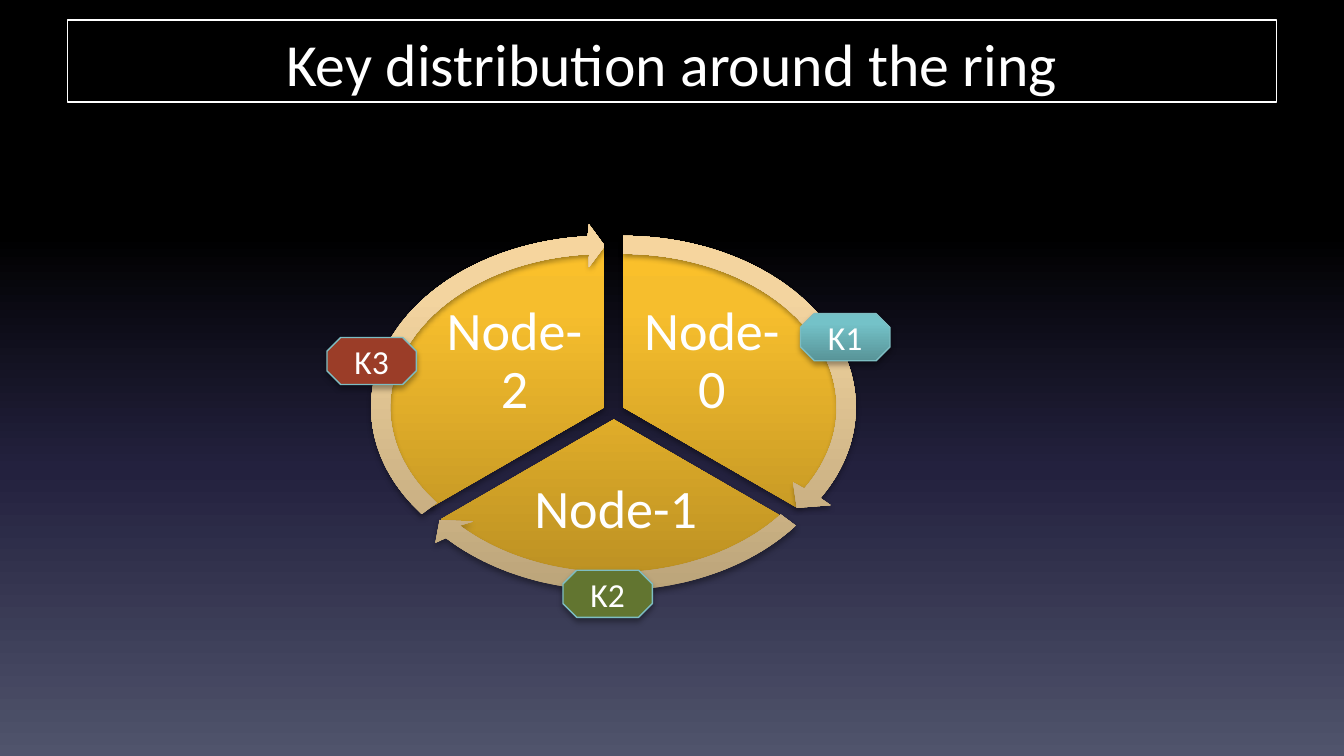
from math import cos, radians, sin, tan

from lxml.etree import SubElement
from pptx import Presentation
from pptx.dml.color import RGBColor as RGB
from pptx.enum.shapes import MSO_SHAPE as SHAPE
from pptx.enum.text import MSO_ANCHOR as ANCHOR, MSO_AUTO_SIZE as FIT, PP_ALIGN as ALIGN
from pptx.oxml.ns import qn
from pptx.util import Cm, Pt

COLORS = {"white": "FFFFFF", "black": "000000", "edge": "7DBDC2",
          "olive": "627530", "rust": "9B3D28"}
GRADIENTS = {
    "night": [(0, "000000"), (31, "000000"), (62, "23213E"), (100, "50546C")],
    "gold": [(0, "BB9023"), (80, "F6BE2D"), (100, "FAC02B")],
    "sand": [(0, "B9A278"), (80, "F3D49F"), (100, "F6D59E")],
    "teal": [(0, "589498"), (80, "74C2C8"), (100, "73C4CB")],
}


def write(sp, text, size=18, anchor=ANCHOR.MIDDLE, margins=(0.25, 0.13), spacing=1.0):
    tf = sp.text_frame
    tf.word_wrap = True
    tf.auto_size = FIT.NONE
    tf.vertical_anchor = anchor
    tf.margin_left = tf.margin_right = Cm(margins[0])
    tf.margin_top = tf.margin_bottom = Cm(margins[1])
    p = tf.paragraphs[0]
    p.alignment = ALIGN.CENTER
    p.line_spacing = spacing
    r = p.add_run()
    r.text = text
    r.font.name = "Calibri"
    r.font.size = Pt(size)
    r.font.color.rgb = RGB.from_string(COLORS["white"])


def shade(fill, element, name, angle=90):
    fill.gradient()
    fill.gradient_angle = angle
    stops = next(element.iter(qn("a:gsLst")))
    for stop in list(stops):
        stops.remove(stop)
    for pos, color in GRADIENTS[name]:
        stop = SubElement(stops, qn("a:gs"), pos=str(pos * 1000))
        SubElement(stop, qn("a:srgbClr"), val=color)


prs = Presentation()
prs.slide_width, prs.slide_height = Cm(25.4), Cm(14.29)
s = prs.slides.add_slide(prs.slide_layouts[5])
shade(s.background.fill, s.element, "night", angle=270)

title = s.shapes.title
title.left, title.top, title.width, title.height = Cm(1.27), Cm(0.38), Cm(22.86), Cm(1.55)
title.line.color.rgb = RGB.from_string(COLORS["white"])
title.line.width = Pt(0.75)
write(title, "Key distribution around the ring", size=32, anchor=ANCHOR.TOP)

raised = []

nodes = [
    ("Node-0", 7.65, 4.6, -90, (11.98, 5.92, 2.95, 1.85)),
    ("Node-1", 7.47, 4.83, 30, (9.43, 8.84, 4.42, 1.63)),
    ("Node-2", 7.29, 4.6, 150, (8.25, 5.92, 2.95, 1.85)),
]
for text, x, y, start, label in nodes:
    sp = s.shapes.add_shape(SHAPE.PIE, Cm(x), Cm(y), Cm(8.26), Cm(6.2))
    sp.adjustments[0] = start % 360 * 0.6
    sp.adjustments[1] = (start + 120) % 360 * 0.6
    shade(sp.fill, sp.element, "gold")
    sp.line.fill.background()
    raised.append(sp)
    box = s.shapes.add_textbox(*[Cm(v) for v in label])
    write(box, text, size=29, margins=(0.1, 0.1), spacing=0.9)

frame_w, frame_h = 9.27, 6.96
arrows = [
    (7.14, 4.22, -90, 32, [(15.7, 9.55), (15.06, 9.6), (14.99, 9.12)]),
    (6.96, 4.44, 38.5, 136, [(8.23, 10.26), (8.31, 9.83), (8.94, 9.86)]),
    (6.78, 4.22, 141.5, 266, [(11.13, 4.24), (11.43, 4.65), (11.13, 5.05)]),
]
for x, y, start, end, head in arrows:
    cx, cy = x + frame_w / 2, y + frame_h / 2
    arcs = []
    for rx, ry, first, last in [(4.4, 3.24, start, end), (4.04, 2.9, end, start)]:
        step = radians(last - first) / 2
        k = 4 / 3 * tan(step / 4)
        arc = [(cx + rx * cos(radians(first)), cy + ry * sin(radians(first)))]
        for i in range(2):
            a = radians(first) + i * step
            b = a + step
            arc += [(cx + rx * (cos(a) - k * sin(a)), cy + ry * (sin(a) + k * cos(a))),
                    (cx + rx * (cos(b) + k * sin(b)), cy + ry * (sin(b) - k * cos(b))),
                    (cx + rx * cos(b), cy + ry * sin(b))]
        arcs.append(arc)
    points = [(Cm(px), Cm(py)) for px, py in arcs[0] + head + arcs[1]]
    outline = s.shapes.build_freeform(*points[0])
    outline.add_line_segments(points[1:])
    sp = outline.convert_to_shape()

    track = next(sp.element.iter(qn("a:path")))
    lines = track.findall(qn("a:lnTo"))
    for i in (0, 3, 10, 13):
        curve = SubElement(track, qn("a:cubicBezTo"))
        lines[i].addprevious(curve)
        for line in lines[i:i + 3]:
            curve.append(line[0])
            track.remove(line)
    for pt in track.iter(qn("a:pt")):
        pt.set("x", str(int(pt.get("x")) + sp.left - Cm(x)))
        pt.set("y", str(int(pt.get("y")) + sp.top - Cm(y)))
    track.set("w", str(Cm(frame_w)))
    track.set("h", str(Cm(frame_h)))
    sp.left, sp.top, sp.width, sp.height = Cm(x), Cm(y), Cm(frame_w), Cm(frame_h)

    shade(sp.fill, sp.element, "sand")
    sp.line.fill.background()
    raised.append(sp)

keys = [("K1", 15.13, 5.93, "teal"), ("K2", 10.64, 10.78, "olive"), ("K3", 6.18, 6.38, "rust")]
for text, x, y, color in keys:
    sp = s.shapes.add_shape(SHAPE.OCTAGON, Cm(x), Cm(y), Cm(1.69), Cm(0.89))
    if color in GRADIENTS:
        shade(sp.fill, sp.element, color)
    else:
        sp.fill.solid()
        sp.fill.fore_color.rgb = RGB.from_string(COLORS[color])
    sp.line.color.rgb = RGB.from_string(COLORS["edge"])
    sp.line.width = Pt(0.75)
    write(sp, text)
    raised.append(sp)

for sp in raised:
    sp.shadow.inherit = False
    effects = next(sp.element.iter(qn("a:effectLst")))
    shadow = SubElement(effects, qn("a:outerShdw"), blurRad=str(Pt(3.1)),
                        dist=str(Pt(1.8)), dir="5400000", rotWithShape="0")
    tint = SubElement(shadow, qn("a:srgbClr"), val=COLORS["black"])
    SubElement(tint, qn("a:alpha"), val="35000")

prs.save("out.pptx")
